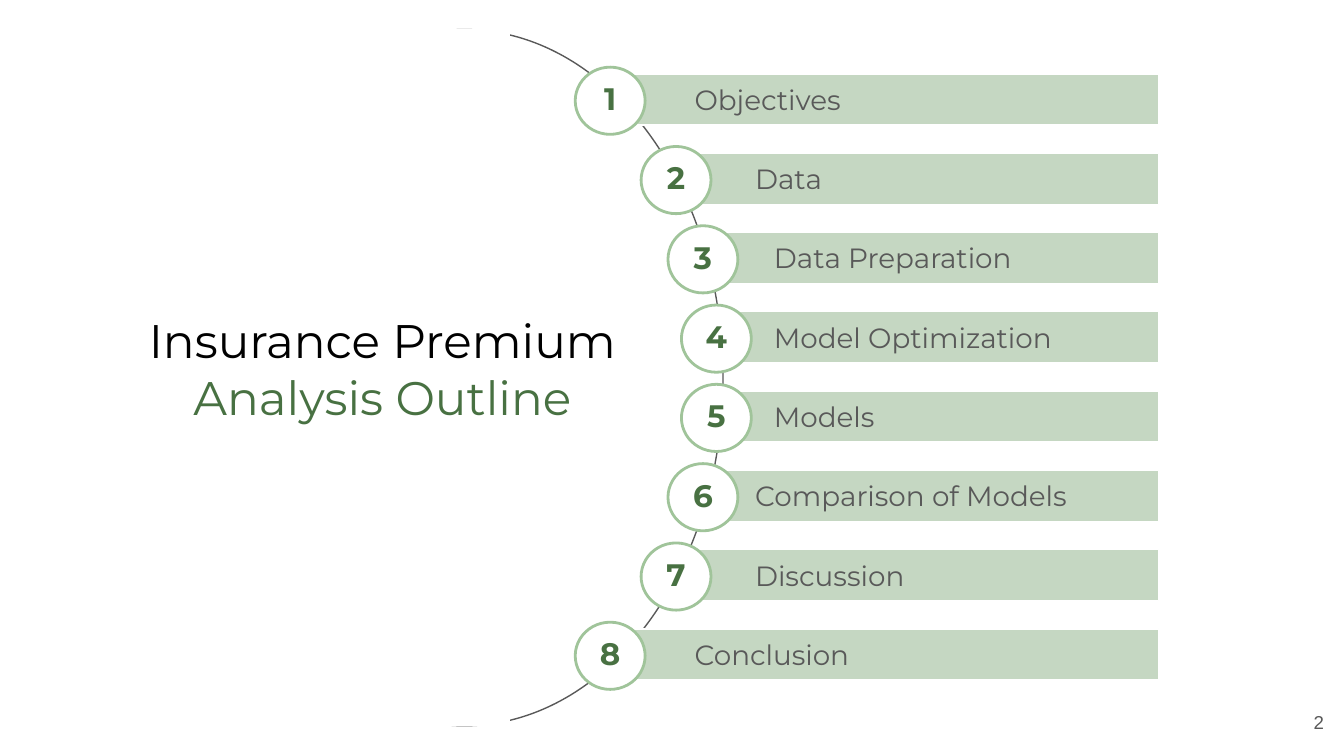
from pptx import Presentation
from pptx.dml.color import RGBColor
from pptx.enum.shapes import MSO_SHAPE
from pptx.enum.text import MSO_ANCHOR, PP_ALIGN
from pptx.util import Inches, Pt

COLORS = {
    "white": "FFFFFF",
    "black": "000000",
    "gray": "595959",
    "bar": "C5D7C2",
    "ring": "A0C49A",
    "green": "487142",
}


class Outline:
    """Holds the style and the current slide."""

    font = "Montserrat"

    def __init__(self, slide):
        self.slide = slide

    def color(self, name):
        return RGBColor.from_string(COLORS[name])

    def shape(self, preset, box, fill, line, weight=0.75):
        shape = self.slide.shapes.add_shape(preset, *map(Inches, box))
        shape.shadow.inherit = False
        shape.fill.solid()
        shape.fill.fore_color.rgb = self.color(fill)
        shape.line.color.rgb = self.color(line)
        shape.line.width = Pt(weight)

    def text(self, box, lines, size, align=PP_ALIGN.LEFT, anchor=MSO_ANCHOR.MIDDLE,
             bold=False, font=None, spacing=None, after=None):
        """Write one paragraph for each (words, color) pair in lines."""
        frame = self.slide.shapes.add_textbox(*map(Inches, box)).text_frame
        frame.word_wrap = True
        frame.vertical_anchor = anchor
        frame.margin_left = frame.margin_right = Inches(0.1)
        frame.margin_top = frame.margin_bottom = Inches(0.1)
        for index, (words, color) in enumerate(lines):
            paragraph = frame.add_paragraph() if index else frame.paragraphs[0]
            paragraph.alignment = align
            paragraph.line_spacing = spacing
            if after is not None:
                paragraph.space_after = Pt(after)
            run = paragraph.add_run()
            run.text = words
            run.font.name = font or self.font
            run.font.size = Pt(size)
            run.font.bold = bold
            run.font.color.rgb = self.color(color)

    def bar(self, left, top):
        self.shape(MSO_SHAPE.RECTANGLE, (left, top, BAR_RIGHT - left, 0.38), "bar", "white")

    def ring(self, left, top):
        self.shape(MSO_SHAPE.OVAL, (left, top, 0.52, 0.5), "white", "ring", 1.5)

    def label(self, words, left, top, width):
        self.text((left, top, width, 0.5), [(words, "gray")], 14.9, spacing=0.95, after=10)

    def number(self, value, left, top):
        self.text((left, top, 0.46, 0.47), [(str(value), "green")], 16.6,
                  PP_ALIGN.CENTER, bold=True, spacing=0.95, after=10)


SLIDE_WIDTH = Inches(10)
SLIDE_HEIGHT = SLIDE_WIDTH * 9 // 16
FIRST_TOP, PITCH = 0.5, 0.59
BAR_RIGHT = 8.62

# Left edges of ring and bar from the ends of the arc to its middle, then mirrored
HALF_ARC = [(4.28, 4.61), (4.77, 5.07), (4.97, 5.3), (5.07, 5.37)]
ARC = HALF_ARC + HALF_ARC[::-1]

# Topic, left edge and width of its label
TOPICS = [
    ("Objectives", 5.07, 2.04),
    ("Data", 5.52, 2.04),
    ("Data Preparation", 5.66, 2.25),
    ("Model Optimization", 5.66, 2.75),
    ("Models", 5.66, 2.75),
    ("Comparison of Models", 5.52, 3.08),
    ("Discussion", 5.52, 2.04),
    ("Conclusion", 5.07, 2.04),
]


def main():
    deck = Presentation()
    deck.slide_width, deck.slide_height = SLIDE_WIDTH, SLIDE_HEIGHT
    outline = Outline(deck.slides.add_slide(deck.slide_layouts[6]))

    # Arc: an ellipse with its left part covered
    outline.shape(MSO_SHAPE.OVAL, (1.53, 0.22, 3.85, 5.18), "white", "gray")
    outline.shape(MSO_SHAPE.RECTANGLE, (0.47, 0.22, 3.32, 5.18), "white", "white")

    # Numbered topics along the arc
    for row, ((ring_left, bar_left), (topic, label_left, width)) in enumerate(zip(ARC, TOPICS)):
        top = FIRST_TOP + row * PITCH
        outline.bar(bar_left, top + 0.05)
        outline.ring(ring_left, top)
        outline.label(topic, label_left, top, width)
        outline.number(row + 1, ring_left + 0.03, top + 0.01)

    # Title
    outline.text((0.92, 2.22, 3.85, 1.24),
                 [("Insurance Premium", "black"), ("Analysis Outline", "green")],
                 25.2, PP_ALIGN.CENTER, MSO_ANCHOR.TOP)

    # Slide number
    outline.text((9.35, 5.16, 0.6, 0.43), [("2", "gray")], 10, PP_ALIGN.RIGHT, font="Arial")

    deck.save("out.pptx")


if __name__ == "__main__":
    main()
